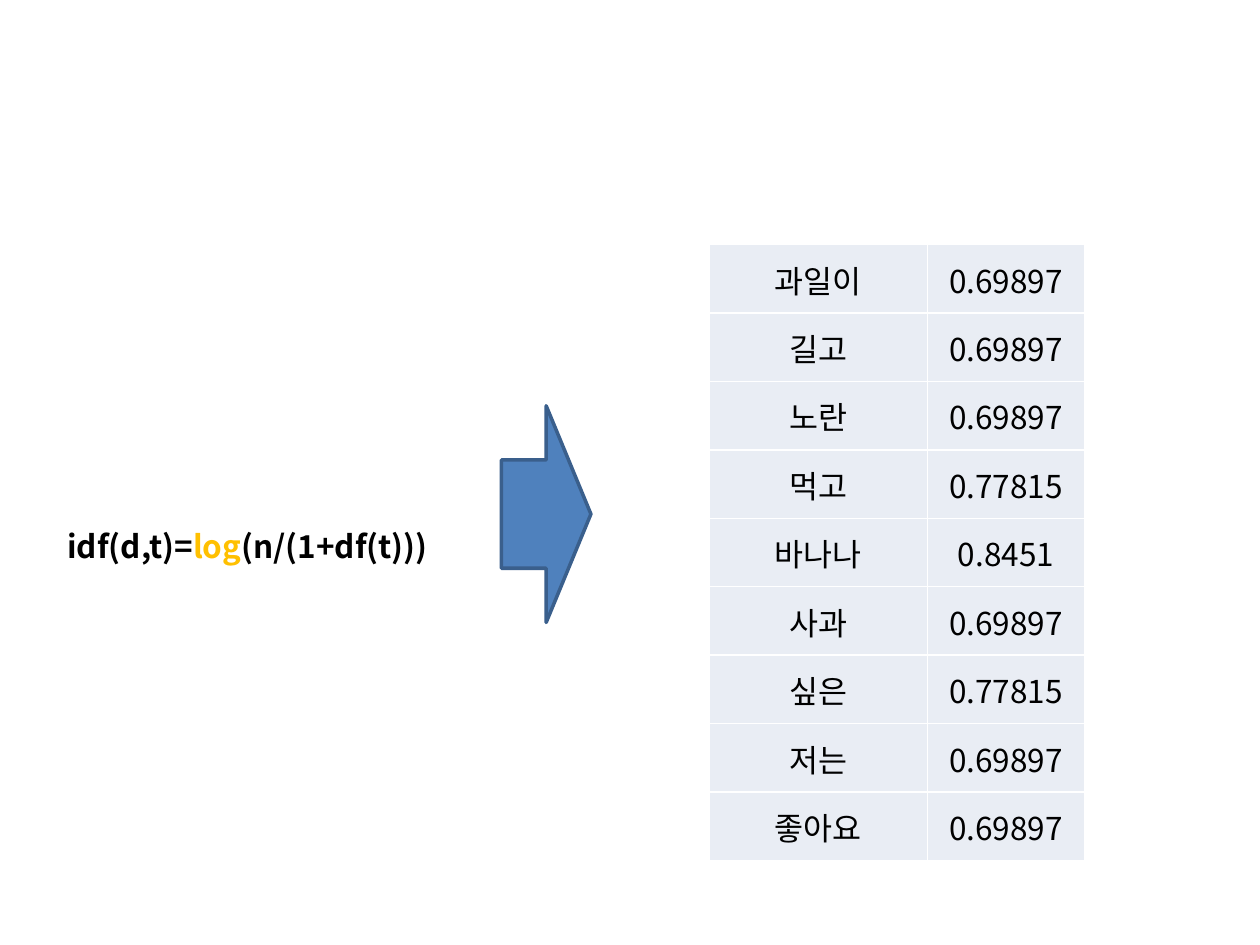
from pptx import Presentation
from pptx.dml.color import RGBColor
from pptx.enum.shapes import MSO_SHAPE
from pptx.enum.text import MSO_ANCHOR, PP_ALIGN
from pptx.oxml import parse_xml
from pptx.oxml.ns import nsdecls
from pptx.util import Inches, Pt

# Content
FONT = "Noto Sans CJK KR"
FORMULA = [("idf(d,t)=", "000000"), ("log", "FFC000"), ("(n/(1+df(t)))", "000000")]
IDF_VALUES = [
    ("과일이", "0.69897"),
    ("길고", "0.69897"),
    ("노란", "0.69897"),
    ("먹고", "0.77815"),
    ("바나나", "0.8451"),
    ("사과", "0.69897"),
    ("싶은", "0.77815"),
    ("저는", "0.69897"),
    ("좋아요", "0.69897"),
]
COLUMN_WIDTHS = (1.73, 1.25)
TABLE_HEIGHT = 4.89


def color(value):
    return RGBColor.from_string(value)


def add_text(para, text, fill="000000", size=18, bold=False):
    para.alignment = PP_ALIGN.CENTER
    span = para.add_run()
    span.text = text
    span.font.size = Pt(size)
    span.font.bold = bold
    span.font.color.rgb = color(fill)
    span.font.name = FONT
    east_asian = parse_xml(f'<a:ea {nsdecls("a")} typeface="{FONT}"/>')
    span.font._element.append(east_asian)


def add_borders(cell, line="FFFFFF", width=1):
    properties = cell._tc.get_or_add_tcPr()
    for index, side in enumerate(("lnL", "lnR", "lnT", "lnB")):
        border = parse_xml(
            f'<a:{side} {nsdecls("a")} w="{Pt(width)}"><a:solidFill>'
            f'<a:srgbClr val="{line}"/></a:solidFill></a:{side}>'
        )
        properties.insert(index, border)


deck = Presentation()
deck.slide_width, deck.slide_height = Inches(10), Inches(7.5)
page = deck.slides.add_slide(deck.slide_layouts[6])

# Table of words and their idf values
frame = page.shapes.add_table(
    len(IDF_VALUES), len(COLUMN_WIDTHS),
    Inches(5.63), Inches(1.94), Inches(sum(COLUMN_WIDTHS)), Inches(TABLE_HEIGHT),
)
table = frame.table
table.first_row = table.horz_banding = False
for column, width in zip(table.columns, COLUMN_WIDTHS):
    column.width = Inches(width)
for row, texts in zip(table.rows, IDF_VALUES):
    for cell, text in zip(row.cells, texts):
        cell.fill.solid()
        cell.fill.fore_color.rgb = color("E9EDF4")
        cell.vertical_anchor = MSO_ANCHOR.MIDDLE
        cell.margin_left = cell.margin_right = cell.margin_top = Inches(0.01)
        cell.margin_bottom = 0
        add_borders(cell)
        add_text(cell.text_frame.paragraphs[0], text)

# Formula
box = page.shapes.add_textbox(Inches(0.35), Inches(3.75), Inches(3.23), Inches(1.01))
box.text_frame.word_wrap = True
box.text_frame.vertical_anchor = MSO_ANCHOR.MIDDLE
para = box.text_frame.paragraphs[0]
para.line_spacing = 1.5
for text, fill in FORMULA:
    add_text(para, text, fill=fill, bold=True)

# Arrow from the formula to the table
arrow = page.shapes.add_shape(
    MSO_SHAPE.RIGHT_ARROW, Inches(3.98), Inches(3.22), Inches(0.71), Inches(1.72)
)
arrow.shadow.inherit = False
arrow.fill.solid()
arrow.fill.fore_color.rgb = color("4F81BD")
arrow.line.color.rgb = color("3A5F8C")
arrow.line.width = Pt(2)

deck.save("out.pptx")
